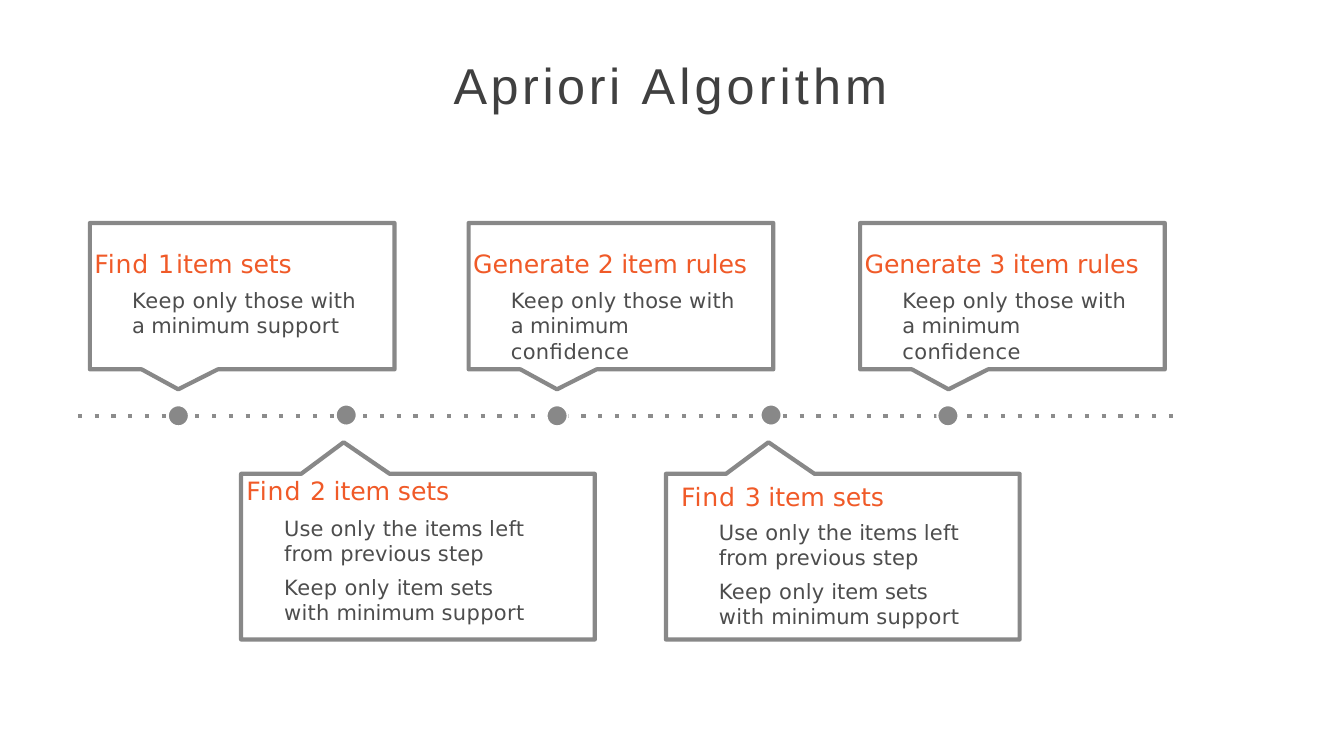
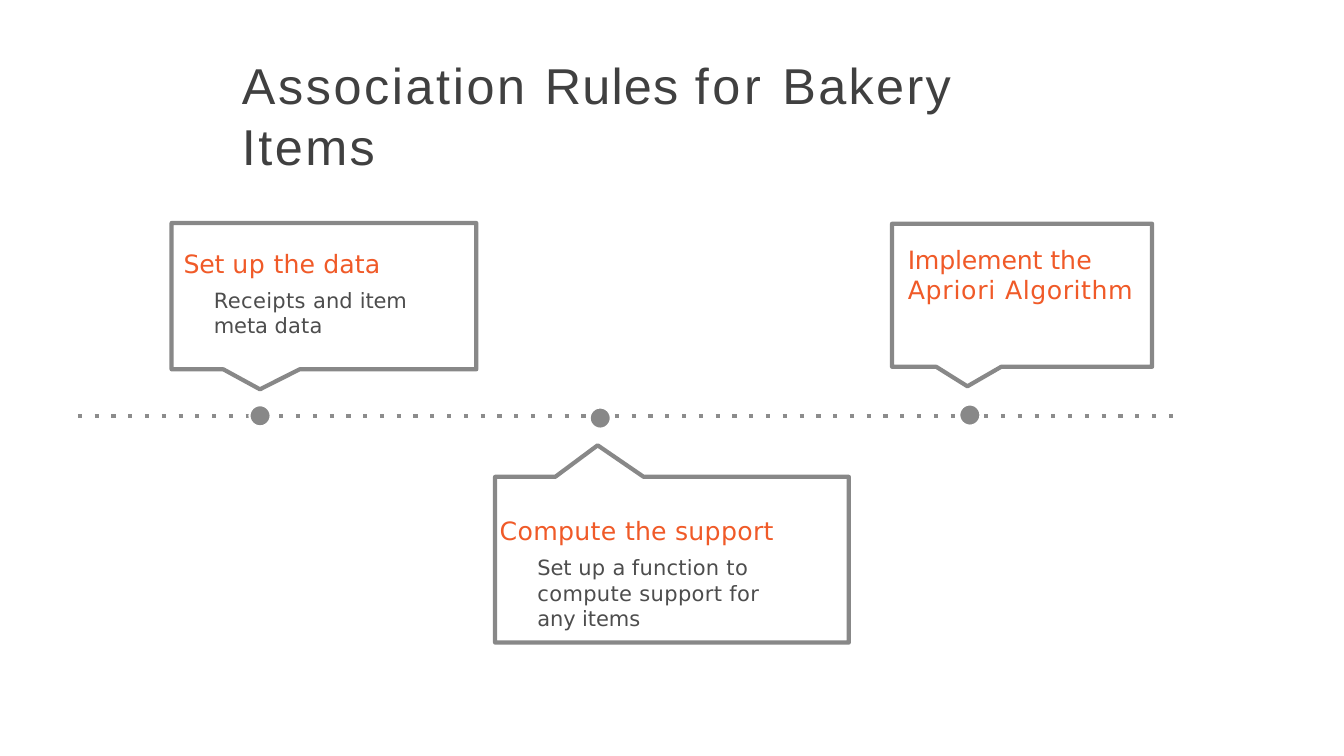
from dataclasses import dataclass

from lxml.etree import SubElement
from pptx import Presentation
from pptx.dml.color import RGBColor
from pptx.enum.shapes import MSO_CONNECTOR, MSO_SHAPE
from pptx.enum.text import MSO_ANCHOR, MSO_AUTO_SIZE, PP_ALIGN
from pptx.oxml.ns import qn
from pptx.slide import Slide
from pptx.util import Emu, Inches, Length, Pt

SLIDE_WIDTH, SLIDE_HEIGHT = Inches(17.78), Inches(10)
GRID = 100
TITLE_LAYOUT = 5

ORANGE = RGBColor(0xF0, 0x5A, 0x28)
GREY = RGBColor(0x88, 0x88, 0x88)
LINE_GREY = RGBColor(0x8C, 0x8C, 0x8C)
TITLE_GREY = RGBColor(0x40, 0x40, 0x40)
TEXT_GREY = RGBColor(0x4D, 0x4D, 0x4D)
WHITE = RGBColor(0xFF, 0xFF, 0xFF)

TITLE_FONT, TEXT_FONT = "Arial", "DejaVu Sans"
TITLE_ROW, TITLE_ROWS = 7.1, 8.3
LINE_ROW, LINE_START, LINE_END = 55, 5.79, 88.19
DOT_SIZE = Inches(0.28)
HEADING_INDENT = Inches(0.01)

Spans = list[tuple[str, float]]


@dataclass
class Area:
    column: float
    row: float
    columns: float
    rows: float


@dataclass
class Callout:
    outline: Area
    text: Area
    dot_column: float
    dot_row: float
    heading: Spans
    details: list[Spans]
    above_line: bool = True
    inset_rows: float = 1.5
    indent: float = 0.51
    right_margin: float = 0.12


@dataclass
class Timeline:
    title: Spans
    title_column: float
    title_columns: float
    callouts: list[Callout]


def across(columns: float) -> Length:
    """Width of a number of grid columns."""
    return Emu(round(SLIDE_WIDTH * columns / GRID))


def down(rows: float) -> Length:
    """Height of a number of grid rows."""
    return Emu(round(SLIDE_HEIGHT * rows / GRID))


def frame(area: Area) -> tuple[Length, Length, Length, Length]:
    """Left, top, width and height of a grid area."""
    return across(area.column), down(area.row), across(area.columns), down(area.rows)


def clear_margins(text_frame, top: Length) -> None:
    """Keep only the top inset and let the box grow with its text."""
    text_frame.margin_left = text_frame.margin_right = text_frame.margin_bottom = 0
    text_frame.margin_top = top
    text_frame.vertical_anchor = MSO_ANCHOR.TOP
    text_frame.word_wrap = True
    text_frame.auto_size = MSO_AUTO_SIZE.SHAPE_TO_FIT_TEXT


def write(para, spans: Spans, font_name: str, size: float, color: RGBColor,
          space_before: Length, indent: Length, right_margin: Length = 0) -> None:
    """Fill a paragraph with letter-spaced spans in one font."""
    para.alignment = PP_ALIGN.LEFT
    para.space_before = space_before
    para.font.name, para.font.size = font_name, Pt(size)
    para.font.color.rgb = color
    properties = para._p.get_or_add_pPr()
    properties.set("marL", str(int(indent)))
    properties.set("marR", str(int(right_margin)))
    properties.set("indent", "0")
    for text, spacing in spans:
        span = para.add_run()
        span.text = text
        span.font._element.set("spc", str(round(spacing * 100)))


def add_title(page: Slide, timeline: Timeline) -> None:
    """Place and fill the title placeholder."""
    title = page.shapes.title
    area = Area(timeline.title_column, TITLE_ROW, timeline.title_columns, TITLE_ROWS)
    title.left, title.top, title.width, title.height = frame(area)
    clear_margins(title.text_frame, down(0.1))
    write(title.text_frame.paragraphs[0], timeline.title, TITLE_FONT, 48,
          TITLE_GREY, Pt(1), HEADING_INDENT)


def add_dotted_line(page: Slide) -> None:
    """Draw the dotted time line."""
    line = page.shapes.add_connector(
        MSO_CONNECTOR.STRAIGHT, across(LINE_START), down(LINE_ROW),
        across(LINE_END), down(LINE_ROW))
    line.line.color.rgb = LINE_GREY
    line.line.width = Pt(4)
    properties = line._element.spPr
    SubElement(properties.find(qn("a:ln")), qn("a:prstDash")).set("val", "dot")
    SubElement(properties, qn("a:effectLst"))


def add_outline(page: Slide, callout: Callout) -> None:
    """Draw a box whose pointer faces the time line."""
    left, top, width, height = frame(callout.outline)
    edge = 0.88 if callout.above_line else 0.84
    corners = [(0, 0), (1, 0), (1, edge), (0.42, edge), (0.29, 1), (0.17, edge), (0, edge)]
    points = [(left + round(width * x),
               top + round(height * (y if callout.above_line else 1 - y)))
              for x, y in corners]
    builder = page.shapes.build_freeform(*points[0], scale=1.0)
    builder.add_line_segments(points[1:], close=True)
    box = builder.convert_to_shape()
    box.shadow.inherit = False
    box.fill.background()
    box.line.color.rgb = GREY
    box.line.width = Pt(4)


def add_dot(page: Slide, callout: Callout) -> None:
    """Mark the callout on the time line."""
    dot = page.shapes.add_shape(
        MSO_SHAPE.OVAL, across(callout.dot_column) - DOT_SIZE // 2,
        down(callout.dot_row) - DOT_SIZE // 2, DOT_SIZE, DOT_SIZE)
    dot.shadow.inherit = False
    dot.fill.solid()
    dot.fill.fore_color.rgb = GREY
    dot.line.color.rgb = WHITE
    dot.line.width = Pt(2)


def add_callout(page: Slide, callout: Callout) -> None:
    """Draw outline, dot, heading and details of a step."""
    add_outline(page, callout)
    add_dot(page, callout)
    text_frame = page.shapes.add_textbox(*frame(callout.text)).text_frame
    inset = down(callout.inset_rows)
    clear_margins(text_frame, inset)
    write(text_frame.paragraphs[0], callout.heading, TEXT_FONT, 24, ORANGE,
          inset, HEADING_INDENT)
    for number, detail in enumerate(callout.details):
        gap = Pt(8) if number else Emu(round(inset * 0.76))
        write(text_frame.add_paragraph(), detail, TEXT_FONT, 20, TEXT_GREY, gap,
              Inches(callout.indent), Inches(callout.right_margin))


def keep_minimum(measure: str) -> Spans:
    """Detail naming the measure that limits the selection."""
    return [("Keep ", 0.3), ("only ", 0.2), ("those ", 0.1), ("with ", 0.2),
            ("a ", -0.3), ("minimum ", -0.2), (measure, 0.3)]


def upper_step(column: float, dot_column: float, heading: Spans, measure: str) -> Callout:
    """Algorithm step above the time line."""
    return Callout(Area(column, 29.5, 22.67, 22), Area(column + 0.28, 31.4, 20.92, 13.5),
                   dot_column, 55, heading, [keep_minimum(measure)])


def lower_step(column: float, dot_column: float, text: Area, heading: Spans,
               inset_rows: float) -> Callout:
    """Algorithm step below the time line."""
    return Callout(Area(column, 58.5, 26.32, 26.1), text, dot_column, 54.9, heading,
                   [USE_LEFT, KEEP_SETS], False, inset_rows, right_margin=0.58)


USE_LEFT: Spans = [("Use ", 0.1), ("only ", 0.2), ("the ", 0.1), ("items ", -0.1),
                   ("left ", 0.3), ("from previous step", 0.1)]
KEEP_SETS: Spans = [("Keep ", 0.3), ("only ", 0.2), ("item sets ", -0.1), ("with ", 0.2),
                    ("minimum ", -0.2), ("support", 0.3)]

TIMELINES = [
    Timeline([("Apriori ", 3.4), ("Algorithm", 3.9)], 33.69, 32.62, [
        upper_step(6.69, 13.27, [("Find ", 0.8), ("1 ", -5.8), ("item sets", -0.1)], "support"),
        lower_step(17.94, 25.76, Area(18.28, 61.2, 24.75, 21.5),
                   [("Find ", 0.8), ("2 ", -0.6), ("item sets", -0.1)], 1.7),
        upper_step(34.87, 41.45, [("Generate ", -0.1), ("2 ", -0.6), ("item rules", -0.1)],
                   "confidence"),
        lower_step(49.55, 57.37, Area(50.62, 62.1, 24.75, 21.2),
                   [("Find ", 0.8), ("3 ", -0.5), ("item sets", -0.1)], 1.5),
        upper_step(64, 70.53, [("Generate ", -0.1), ("3 ", -0.5), ("item rules", -0.1)],
                   "confidence"),
    ]),
    Timeline([("Association ", 2.5), ("Rules ", 1.1), ("for ", 3.5), ("Bakery ", 2.3),
              ("Items", 2.4)], 17.94, 64.12, [
        Callout(Area(12.77, 29.5, 22.67, 22), Area(13.61, 31.4, 21.03, 13.5), 19.35, 55,
                [("Set ", -0.2), ("up ", 0.4), ("the data", 0.1)],
                [[("Receipts ", 0.3), ("and ", 0.1), ("item meta ", -0.1), ("data", 0.1)]],
                indent=0.41),
        Callout(Area(36.84, 58.9, 26.32, 26.1), Area(37.12, 66.4, 22.5, 17.1), 44.66, 55.3,
                [("Compute ", 0.3), ("the ", 0.1), ("support", 0.3)],
                [[("Set ", -0.1), ("up ", 0.3), ("a ", -0.3), ("function ", 0.2), ("to ", 0.5),
                  ("compute support for ", 0.3), ("any ", -0.2), ("items", -0.1)]],
                False, 1.7),
        Callout(Area(66.37, 29.6, 19.35, 21.5), Area(67.49, 32.2, 16.82, 8.3), 72.16, 54.9,
                [("Implement ", -0.2), ("the ", 0.1), ("Apriori ", 0.7), ("Algorithm", 0.5)],
                [], inset_rows=0.1),
    ]),
]


def main() -> None:
    """Build and save the deck."""
    deck = Presentation()
    deck.slide_width, deck.slide_height = SLIDE_WIDTH, SLIDE_HEIGHT
    for timeline in TIMELINES:
        page = deck.slides.add_slide(deck.slide_layouts[TITLE_LAYOUT])
        add_title(page, timeline)
        add_dotted_line(page)
        for callout in timeline.callouts:
            add_callout(page, callout)
    deck.save("out.pptx")


if __name__ == "__main__":
    main()
